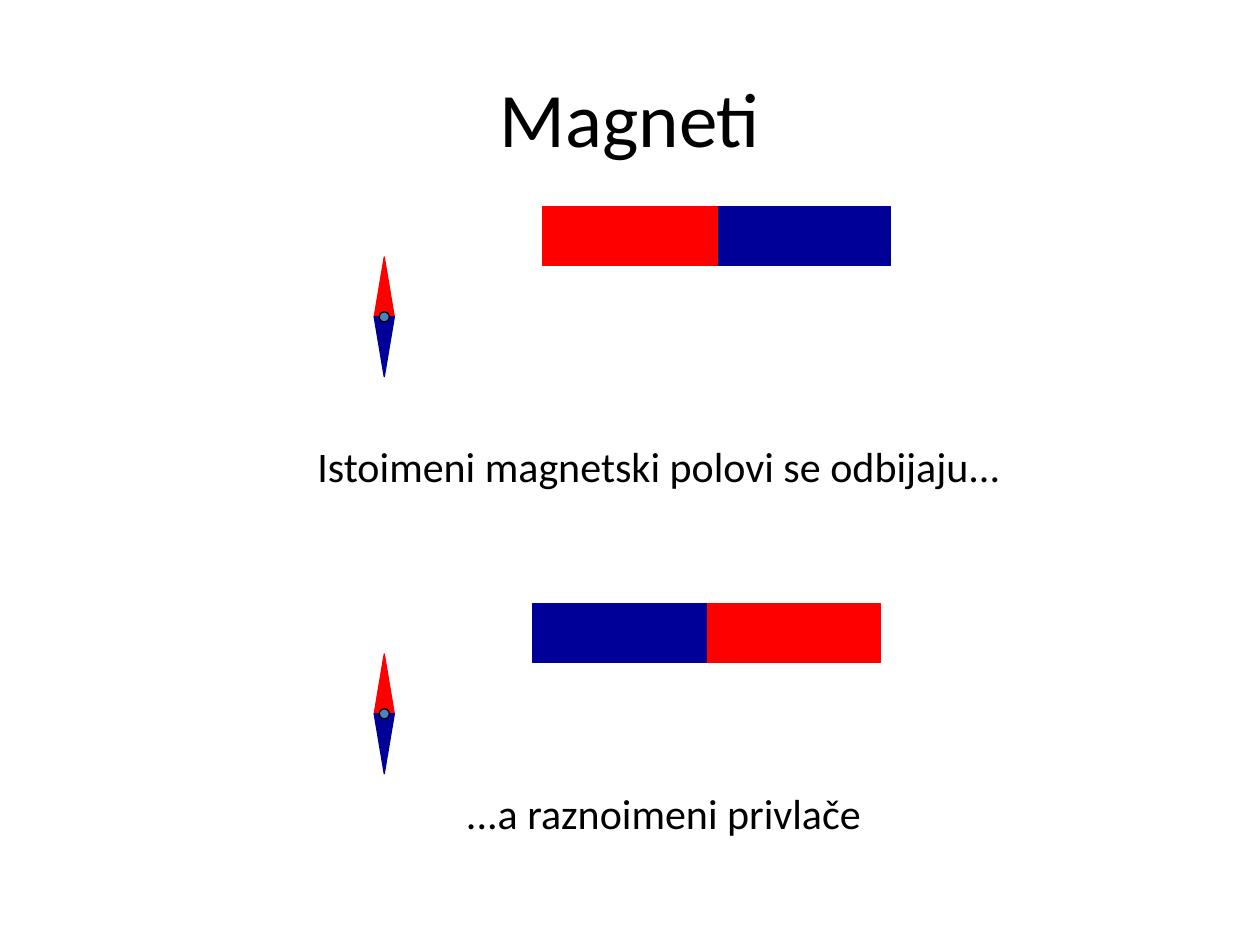
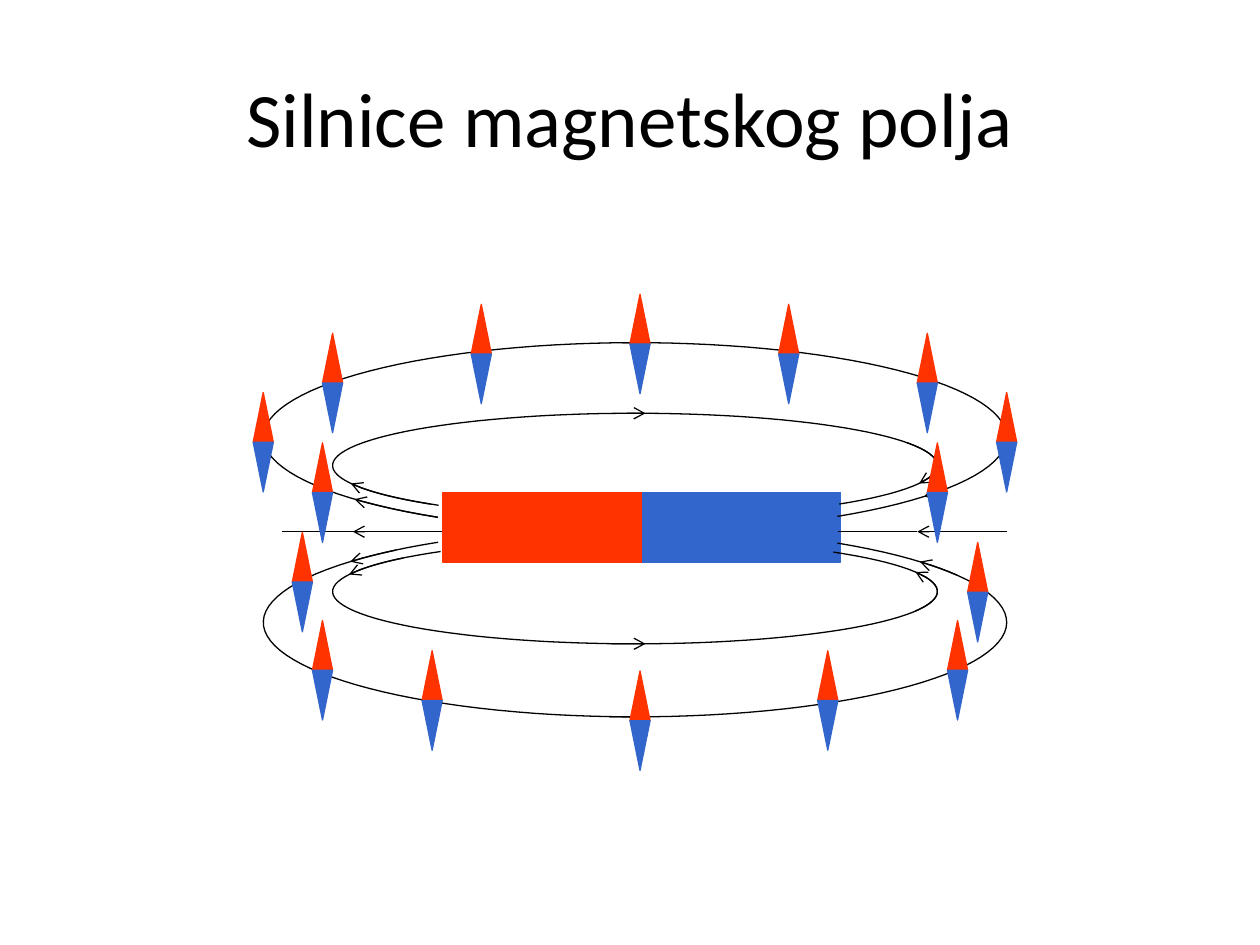
from dataclasses import dataclass
from math import cos, radians, sin

from lxml.etree import SubElement
from pptx import Presentation
from pptx.dml.color import RGBColor as RGB
from pptx.enum.shapes import MSO_CONNECTOR as CONN, MSO_SHAPE as SHAPE
from pptx.enum.text import MSO_ANCHOR as ANCHOR, MSO_AUTO_SIZE as AUTOSIZE, PP_ALIGN as ALIGN
from pptx.oxml.ns import qn
from pptx.util import Inches, Pt


@dataclass(frozen=True)
class Theme:
    font: str = "Calibri"
    title_size: int = 44
    caption_size: int = 24
    line_width: float = 0.75
    ink: str = "000000"
    red: str = "FF0000"
    navy: str = "000099"
    orange: str = "FF3300"
    blue: str = "3366CC"
    pivot: str = "4F81BD"


T = Theme()


# Shared helpers
def style_line(sp, color, arrow=False):
    sp.line.color.rgb = RGB.from_string(color)
    sp.line.width = Pt(T.line_width)
    if arrow:
        ln = sp.element.spPr.find(qn("a:ln"))
        SubElement(ln, qn("a:tailEnd"), type="arrow")


def paint(sp, fill, line=None):
    sp.shadow.inherit = False
    sp.fill.solid()
    sp.fill.fore_color.rgb = RGB.from_string(fill)
    style_line(sp, line or fill)


def add_path(shapes, points, close):
    pts = [(Inches(x), Inches(y)) for x, y in points]
    fb = shapes.build_freeform(*pts[0])
    fb.add_line_segments(pts[1:], close=close)
    sp = fb.convert_to_shape()
    sp.shadow.inherit = False
    return sp


def add_text(slide, box, text, size, wrap=False):
    sp = slide.shapes.add_textbox(*map(Inches, box))
    tf = sp.text_frame
    tf.word_wrap = wrap
    p = tf.paragraphs[0]
    r = p.add_run()
    r.text = text
    r.font.name = T.font
    r.font.size = Pt(size)
    r.font.color.rgb = RGB.from_string(T.ink)
    return tf


def new_slide(prs, title):
    slide = prs.slides.add_slide(prs.slide_layouts[6])
    tf = add_text(slide, (0.5, 0.3, 9, 1.25), title, T.title_size, wrap=True)
    tf.vertical_anchor = ANCHOR.MIDDLE
    tf.paragraphs[0].alignment = ALIGN.CENTER
    return slide


def add_caption(slide, box, text):
    add_text(slide, box, text, T.caption_size).auto_size = AUTOSIZE.SHAPE_TO_FIT_TEXT


# Magnet parts
def add_magnet(slide, box, left_color, right_color):
    left, top, width, height = box
    half = width / 2
    shapes = slide.shapes.add_group_shape().shapes
    for x, color in ((left + half, right_color), (left, left_color)):
        paint(shapes.add_shape(SHAPE.RECTANGLE, *map(Inches, (x, top, half, height))), color)


def add_needle(slide, box, north, south, pivot=0):
    left, top, width, height = box
    cx, cy = left + width / 2, top + height / 2
    shapes = slide.shapes.add_group_shape().shapes
    for tip, color in ((top, north), (top + height, south)):
        paint(add_path(shapes, [(cx, tip), (left, cy), (left + width, cy)], True), color)
    if pivot:
        dot = (cx - pivot / 2, cy - pivot / 2, pivot, pivot)
        paint(shapes.add_shape(SHAPE.OVAL, *map(Inches, dot)), T.pivot, T.ink)


# Field lines: angles in degrees, clockwise from the right
def add_arc(shapes, box, start, end, arrow=False):
    left, top, width, height = box
    rx, ry = width / 2, height / 2
    steps = max(4, round(abs(end - start) / 3))
    angles = [radians(start + (end - start) * i / steps) for i in range(steps + 1)]
    points = [(left + rx * (1 + cos(a)), top + ry * (1 + sin(a))) for a in angles]
    sp = add_path(shapes, points, False)
    sp.fill.background()
    style_line(sp, T.ink, arrow)


def add_loop(slide, box, span, arrows):
    shapes = slide.shapes.add_group_shape().shapes
    add_arc(shapes, box, *span)
    for start, end in arrows:
        add_arc(shapes, box, start, end, arrow=True)


def add_axis(slide, y, parts):
    shapes = slide.shapes.add_group_shape().shapes
    for x1, x2, arrow in parts:
        c = shapes.add_connector(CONN.STRAIGHT, *map(Inches, (x1, y, x2, y)))
        style_line(c, T.ink, arrow)
        SubElement(c.element.spPr, qn("a:effectLst"))


# Slides
def magnets_slide(prs):
    slide = new_slide(prs, "Magneti")
    rows = (
        (1.64, 4.31, T.red, T.navy),
        (4.79, 4.23, T.navy, T.red),
    )
    for top, left, left_color, right_color in rows:
        add_magnet(slide, (left, top, 2.76, 0.47), left_color, right_color)
        add_needle(slide, (2.97, top + 0.4, 0.16, 0.95), T.red, T.navy, pivot=0.08)
    add_caption(slide, (2.42, 3.45, 5.75, 0.5), "Istoimeni magnetski polovi se odbijaju...")
    add_caption(slide, (3.6, 6.2, 3.37, 0.5), "...a raznoimeni privlače")


def field_slide(prs):
    slide = new_slide(prs, "Silnice magnetskog polja")
    add_magnet(slide, (3.51, 3.91, 3.16, 0.55), T.orange, T.blue)
    add_axis(slide, 4.22, (
        (3.51, 2.8, True), (7.99, 7.28, True), (6.65, 7.28, False), (2.24, 2.87, False),
    ))

    # Box, visible span and arrow spans of each loop
    outer, inner = (5.9, 1.5), (4.8, 0.83)
    loops = (
        (4.19, outer, (238, -57), ((-30, -40), (230, 220), (94, 88.5))),
        (4.28, inner, (230, -49), ((220, 199), (22, -22), (94.5, 88))),
        (3.28, inner, (47.5, -229.5), ((-26, 20), (132.5, 160), (-91.5, -88))),
        (2.72, outer, (57, -238), ((122, 139), (33, 39), (-92, -88))),
    )
    for top, (width, height), span, arrows in loops:
        add_loop(slide, (5.04 - width / 2, top, width, height), span, arrows)

    # Compass needles by centre
    centres = (
        (5.08, 2.73), (2.64, 3.04), (7.44, 3.91), (7.6, 5.32), (5.08, 5.72), (2.4, 4.62),
        (3.82, 2.81), (6.26, 2.81), (7.36, 3.04), (2.56, 3.91), (7.76, 4.7), (2.09, 3.51),
        (7.99, 3.51), (6.57, 5.56), (3.43, 5.56), (2.56, 5.32),
    )
    width, height = 0.16, 0.79
    for cx, cy in centres:
        add_needle(slide, (cx - width / 2, cy - height / 2, width, height), T.orange, T.blue)


def main():
    prs = Presentation()
    prs.slide_width, prs.slide_height = Inches(10), Inches(7.5)
    magnets_slide(prs)
    field_slide(prs)
    prs.save("out.pptx")


if __name__ == "__main__":
    main()
